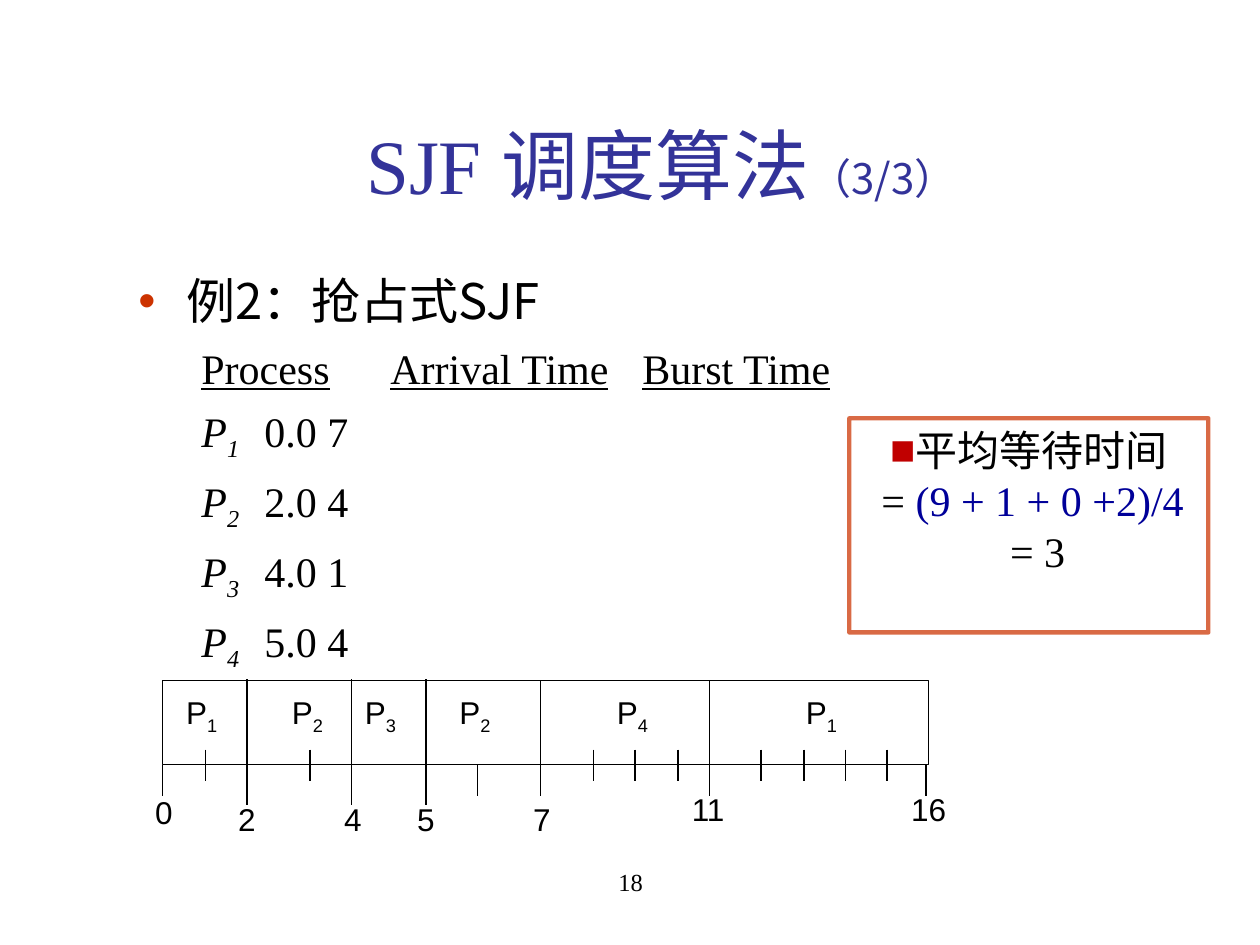
from lxml import etree
from pptx import Presentation
from pptx.dml.color import RGBColor
from pptx.enum.shapes import MSO_CONNECTOR, MSO_SHAPE
from pptx.enum.text import MSO_ANCHOR, PP_ALIGN
from pptx.oxml.ns import qn
from pptx.util import Inches, Pt

LEFT, CENTER = PP_ALIGN.LEFT, PP_ALIGN.CENTER
TOP, MIDDLE = MSO_ANCHOR.TOP, MSO_ANCHOR.MIDDLE
RECTANGLE, STRAIGHT = MSO_SHAPE.RECTANGLE, MSO_CONNECTOR.STRAIGHT
COLORS = {
    "black": "000000", "white": "FFFFFF", "title": "333399", "formula": "000099",
    "bullet": "CC3300", "square": "C00000", "frame": "CC3300",
}
SERIF, SANS, CHINESE = "Times New Roman", "Arial", "Noto Sans CJK SC"


def color(name):
    return RGBColor.from_string(COLORS[name])


def add_element(parent, tag, **attributes):
    return etree.SubElement(parent, qn(tag), {key: str(value) for key, value in attributes.items()})


class SlideBuilder:
    def __init__(self, slide):
        self.slide = slide

    def box(self, left, top, width, height, anchor=TOP, wrap=True):
        box = self.slide.shapes.add_textbox(*map(Inches, (left, top, width, height)))
        for name, value in {"word_wrap": wrap, "vertical_anchor": anchor}.items():
            setattr(box.text_frame, name, value)
        return box.text_frame

    def rectangle(self, left, top, width, height, line, points, fill=None):
        shape = self.slide.shapes.add_shape(RECTANGLE, *map(Inches, (left, top, width, height)))
        shape.shadow.inherit = False
        if fill:
            shape.fill.solid()
            shape.fill.fore_color.rgb = color(fill)
        else:
            shape.fill.background()
        shape.line.color.rgb = color(line)
        shape.line.width = Pt(points)
        return shape

    def paragraph(self, frame, spans, align=LEFT, before=0, margin=0, hanging=0,
                  bullet=None, tabs=()):
        first = not frame.paragraphs[0].runs
        para = frame.paragraphs[0] if first else frame.add_paragraph()
        properties = para._p.get_or_add_pPr()
        properties.set("marL", str(Inches(margin)))
        properties.set("indent", str(-Inches(hanging)))
        if bullet:
            symbol, tint = bullet
            add_element(add_element(properties, "a:buClr"), "a:srgbClr", val=COLORS[tint])
            add_element(properties, "a:buFont", typeface=SANS)
            add_element(properties, "a:buChar", char=symbol)
        if tabs:
            stops = add_element(properties, "a:tabLst")
            for position in tabs:
                add_element(stops, "a:tab", pos=Inches(position), algn="l")
        para.alignment = align
        para.space_before = Pt(0 if first else before)
        for text, formats in spans:
            self.span(para, text, **formats)

    def span(self, para, text, size=24, font=SERIF, tint="black", subscript=False, **formats):
        span = para.add_run()
        span.text = text
        for name, value in {"size": Pt(size), "name": font, **formats}.items():
            setattr(span.font, name, value)
        span.font.color.rgb = color(tint)
        properties = span._r.get_or_add_rPr()
        add_element(properties, "a:ea", typeface=CHINESE)
        if subscript:
            properties.set("baseline", "-25000")

    def label(self, center, top, width, height, text, subscript=""):
        frame = self.box(center - width / 2, top, width, height, MIDDLE, False)
        style = {"size": 18, "font": SANS}
        spans = [(text, style)]
        if subscript:
            spans.append((subscript, {**style, "subscript": True}))
        self.paragraph(frame, spans, CENTER)

    def vertical_line(self, x, top, bottom):
        line = self.slide.shapes.add_connector(STRAIGHT, *map(Inches, (x, top, x, bottom)))
        line.line.color.rgb = color("black")
        line.line.width = Pt(0.75)
        add_element(line._element.spPr, "a:effectLst")


def add_title(builder):
    frame = builder.box(1, 0.67, 8.5, 1.25, MIDDLE)
    builder.paragraph(frame, [
        ("SJF ", {"size": 44, "tint": "title"}),
        ("调度算法", {"size": 44, "font": CHINESE, "tint": "title"}),
        ("（3/3）", {"size": 24, "font": CHINESE, "tint": "title"}),
    ], CENTER)


def add_processes(builder):
    frame = builder.box(1, 2.1, 8.25, 4.5)
    builder.paragraph(frame, [("例2：抢占式SJF", {"size": 28, "font": CHINESE})],
                      margin=0.38, hanging=0.38, bullet=("•", "bullet"))
    builder.paragraph(frame, [
        ("\t", {}), ("Process\tArrival Time\tBurst Time", {"underline": True}),
    ], before=7.2, tabs=(0.42, 1.58, 3.57))
    rows = [("1", "0.0", "7", 0.79, 1.38), ("2", "2.0", "4", 0.71, 1.38),
            ("3", "4.0", "1", 0.71, 1.46), ("4", "5.0", "4", 0.71, 1.46)]
    for number, arrival, burst, name_stop, arrival_stop in rows:
        builder.paragraph(frame, [
            ("\t", {}), ("P", {"italic": True}),
            (number, {"italic": True, "subscript": True}),
            (f"\t{arrival}\t{burst}", {}),
        ], before=7.2, tabs=(name_stop, arrival_stop, 3.38))


def add_timeline(builder):
    builder.rectangle(1.29, 5.4, 6.08, 0.67, "black", 0.75, "white")
    line_groups = [
        (5.39, 6.39, (1.96, 2.79, 3.38)),
        (5.4, 6.07, (4.29, 5.63)),
        (6.07, 6.32, (1.29, 3.79, 4.29, 5.63, 7.35)),
        (5.95, 6.2, (1.63, 2.46, 4.71, 5.04, 5.38, 6.04, 6.38, 6.71, 7.04)),
    ]
    for top, bottom, positions in line_groups:
        for x in positions:
            builder.vertical_line(x, top, bottom)
    processes = [("1", 1.6), ("2", 2.44), ("3", 3.02), ("2", 3.77), ("4", 5.02), ("1", 6.52)]
    for number, center in processes:
        builder.label(center, 5.45, 0.45, 0.44, "P", number)
    times = [("0", 1.3, 6.24), ("2", 1.96, 6.3), ("4", 2.8, 6.3), ("5", 3.38, 6.3),
             ("7", 4.3, 6.3), ("11", 5.62, 6.22), ("16", 7.37, 6.22)]
    for time, center, top in times:
        builder.label(center, top, 0.2 + 0.14 * len(time), 0.4, time)


def add_average(builder):
    shape = builder.rectangle(6.74, 3.32, 2.85, 1.7, "frame", 2.5)
    tint = shape.line._ln.find(".//" + qn("a:srgbClr"))
    add_element(tint, "a:alpha", val=73000)
    frame = shape.text_frame
    for name, value in {"word_wrap": False, "vertical_anchor": TOP}.items():
        setattr(frame, name, value)
    builder.paragraph(frame, [("平均等待时间", {"font": CHINESE})], CENTER,
                      bullet=("■", "square"))
    builder.paragraph(frame, [("= ", {}), ("(9 + 1 + 0 +2)/4", {"tint": "formula"})],
                      CENTER, margin=0.06)
    builder.paragraph(frame, [("= 3", {})], CENTER, margin=0.14)


def main():
    deck = Presentation()
    deck.slide_width, deck.slide_height = Inches(10), Inches(7.5)
    builder = SlideBuilder(deck.slides.add_slide(deck.slide_layouts[6]))
    page_number = builder.box(3.42, 6.83, 3.17, 0.5)
    builder.paragraph(page_number, [("18", {"size": 14})], CENTER)
    add_processes(builder)
    add_title(builder)
    add_timeline(builder)
    add_average(builder)
    deck.save("out.pptx")


if __name__ == "__main__":
    main()
